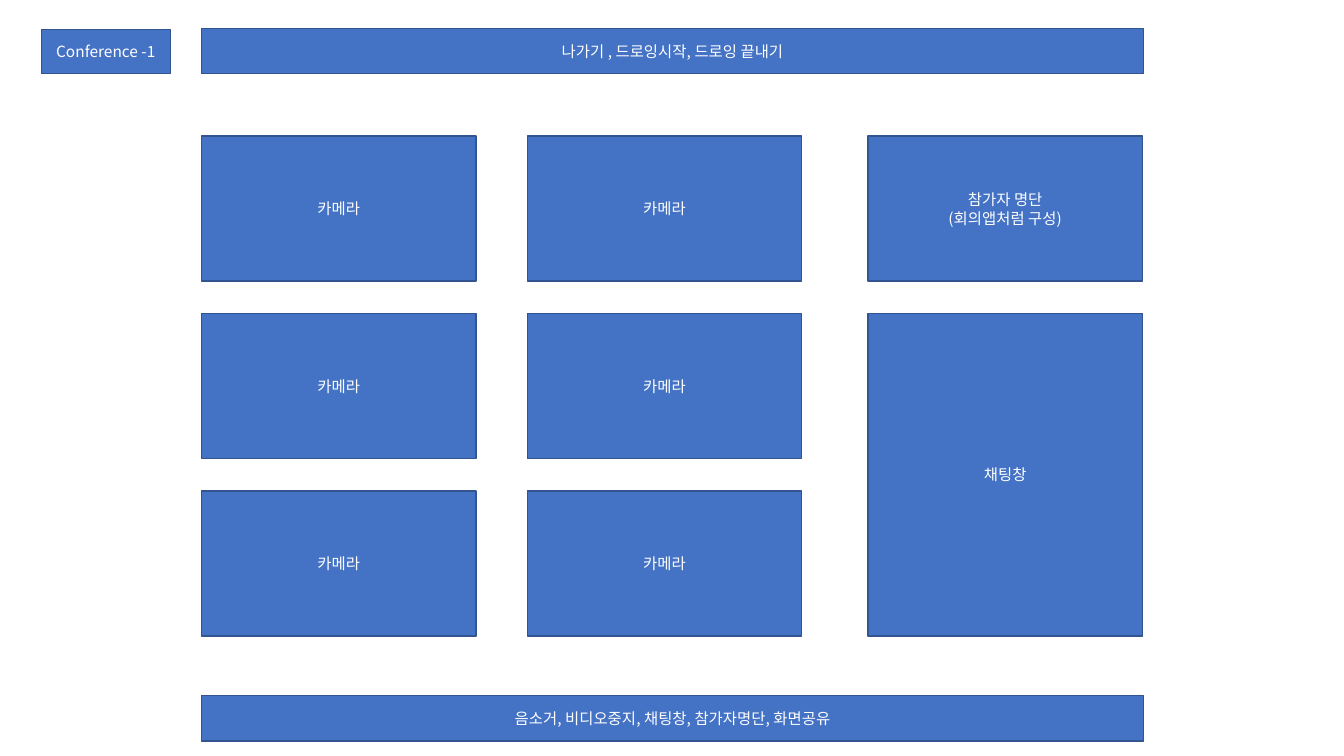
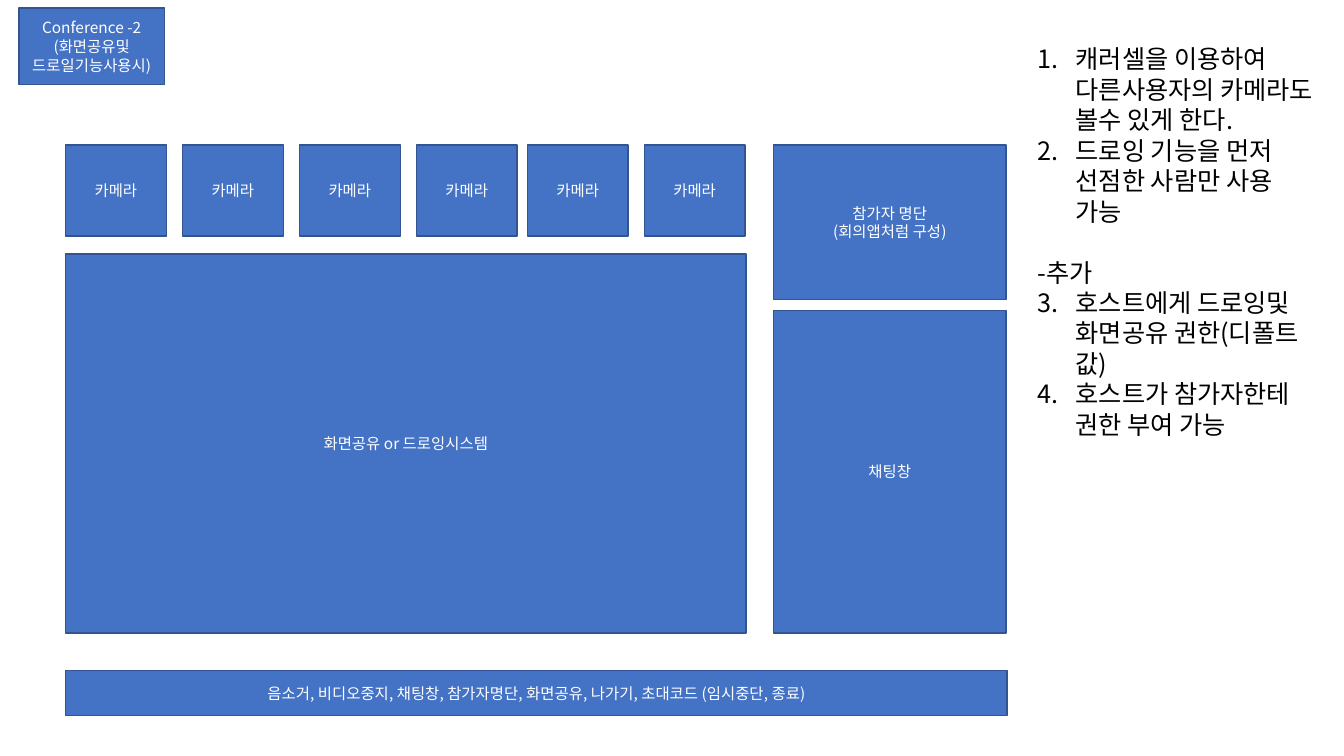
from dataclasses import dataclass
from itertools import product

from lxml.etree import SubElement
from pptx import Presentation
from pptx.dml.color import RGBColor
from pptx.enum.shapes import MSO_SHAPE as Preset
from pptx.enum.text import MSO_ANCHOR as Anchor, MSO_AUTO_SIZE as AutoSize, PP_ALIGN as Align
from pptx.oxml.ns import qn
from pptx.util import Inches, Pt


@dataclass(frozen=True)
class Theme:
    panel: RGBColor = RGBColor(0x44, 0x72, 0xC4)
    border: RGBColor = RGBColor(0x32, 0x54, 0x91)
    light: RGBColor = RGBColor(0xFF, 0xFF, 0xFF)
    dark: RGBColor = RGBColor(0x00, 0x00, 0x00)
    font: str = "Noto Sans CJK KR"
    panel_size: float = 11
    note_size: float = 18
    border_width: float = 1
    leading: float = 1.21


CAMERA = "카메라"
CHAT = "채팅창"
ATTENDEES = "참가자 명단\n(회의앱처럼 구성)"
CONTROLS = "음소거, 비디오중지, 채팅창, 참가자명단, 화면공유"


def apply(target, formats):
    for name, value in formats.items():
        setattr(target, name, value)


class Wireframe:
    """Draws styled panels and notes on the current slide."""

    def __init__(self, theme):
        self.theme = theme
        self.deck = Presentation()
        apply(self.deck, {"slide_width": Inches(13.33), "slide_height": Inches(7.5)})
        self.slide = None

    def new_slide(self):
        self.slide = self.deck.slides.add_slide(self.deck.slide_layouts[6])

    def fill_paragraph(self, paragraph, text, size, color, align):
        apply(paragraph, {"alignment": align, "line_spacing": Pt(size * self.theme.leading)})
        run = paragraph.add_run()
        run.text = text
        apply(run.font, {"size": Pt(size), "name": self.theme.font})
        run.font.color.rgb = color
        SubElement(run.font._element, qn("a:ea"), typeface=self.theme.font)

    def lines(self, frame, texts, size, color, align):
        paragraphs = []
        for index, text in enumerate(texts):
            paragraph = frame.add_paragraph() if index else frame.paragraphs[0]
            self.fill_paragraph(paragraph, text, size, color, align)
            paragraphs.append(paragraph)
        return paragraphs

    def panel(self, text, left, top, width, height):
        theme = self.theme
        panel = self.slide.shapes.add_shape(
            Preset.RECTANGLE, Inches(left), Inches(top), Inches(width), Inches(height))
        panel.shadow.inherit = False
        panel.fill.solid()
        panel.fill.fore_color.rgb = theme.panel
        panel.line.color.rgb = theme.border
        panel.line.width = Pt(theme.border_width)
        apply(panel.text_frame, {"word_wrap": True, "vertical_anchor": Anchor.MIDDLE})
        self.lines(panel.text_frame, text.split("\n"),
                   theme.panel_size, theme.light, Align.CENTER)

    def notes(self, items, left, top, width, height):
        theme = self.theme
        box = self.slide.shapes.add_textbox(
            Inches(left), Inches(top), Inches(width), Inches(height))
        apply(box.text_frame, {"word_wrap": True, "auto_size": AutoSize.SHAPE_TO_FIT_TEXT})
        texts = [text for text, _ in items]
        paragraphs = self.lines(box.text_frame, texts, theme.note_size, theme.dark, Align.LEFT)
        for paragraph, (_, start) in zip(paragraphs, items):
            if start:
                self.number(paragraph, start)
            else:
                paragraph.space_before = Pt(theme.note_size * theme.leading)

    def number(self, paragraph, start):
        properties = paragraph._p.get_or_add_pPr()
        indent = Inches(0.38)
        for name, value in {"marL": indent, "indent": -indent}.items():
            properties.set(name, str(value))
        SubElement(properties, qn("a:buFont"), typeface="+mj-lt")
        SubElement(properties, qn("a:buAutoNum"), type="arabicPeriod", startAt=str(start))

    def save(self):
        self.deck.save("out.pptx")


def camera_screen(wireframe):
    wireframe.new_slide()
    width, height, first_row, row_pitch = 2.72, 1.44, 1.35, 1.76
    side = 8.61
    wireframe.panel("Conference -1", 0.41, 0.29, 1.28, 0.44)
    wireframe.panel("나가기 , 드로잉시작, 드로잉 끝내기", 2, 0.28, 9.34, 0.45)
    for row, left in product(range(3), (2, 5.23)):
        wireframe.panel(CAMERA, left, first_row + row * row_pitch, width, height)
    wireframe.panel(ATTENDEES, side, first_row, width, height)
    wireframe.panel(CHAT, side, first_row + row_pitch, width, row_pitch + height)
    wireframe.panel(CONTROLS, 2, 6.9, 9.34, 0.45)


def sharing_screen(wireframe):
    wireframe.new_slide()
    left, top, side, side_width = 0.65, 1.44, 7.67, 2.31
    wireframe.panel("Conference -2\n(화면공유및\n드로일기능사용시)", 0.19, 0.08, 1.44, 0.76)
    for group_left, count in ((left, 4), (5.23, 2)):
        for index in range(count):
            wireframe.panel(CAMERA, group_left + index * 1.16, top, 1, 0.9)
    wireframe.panel("화면공유 or 드로잉시스템", left, 2.52, 6.75, 3.76)
    wireframe.panel(ATTENDEES, side, top, side_width, 1.53)
    wireframe.panel(CHAT, side, 3.08, side_width, 3.2)
    wireframe.panel(f"{CONTROLS}, 나가기, 초대코드 (임시중단, 종료)", left, 6.65, 9.34, 0.45)
    wireframe.notes([
        ("캐러셀을 이용하여 다른사용자의 카메라도 볼수 있게 한다.", 1),
        ("드로잉 기능을 먼저 선점한 사람만 사용 가능", 1),
        ("-추가", None),
        ("호스트에게 드로잉및 화면공유 권한(디폴트값)", 3),
        ("호스트가 참가자한테 권한 부여 가능", 3),
    ], 10.19, 0.38, 3.04, 4.04)


def main():
    wireframe = Wireframe(Theme())
    camera_screen(wireframe)
    sharing_screen(wireframe)
    wireframe.save()


if __name__ == "__main__":
    main()
